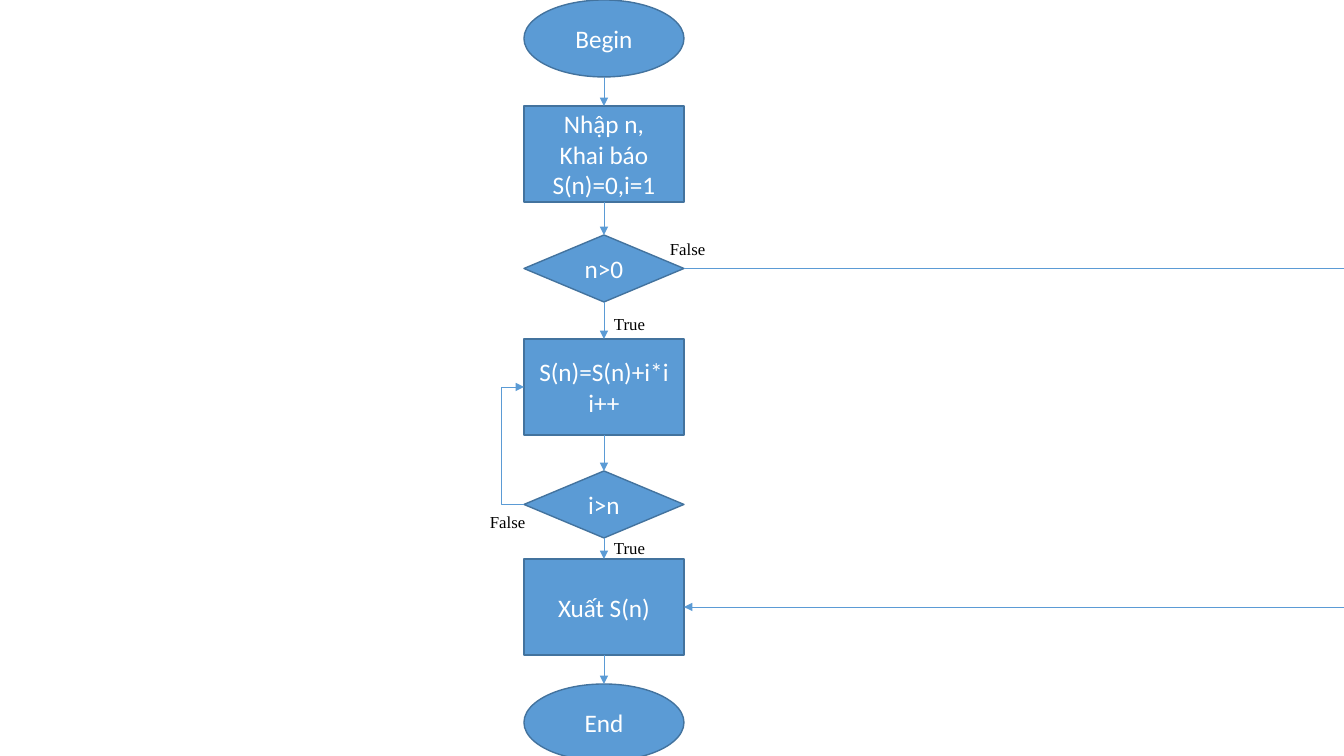
"""Build a flowchart slide that sums the squares from 1 to n."""
from dataclasses import dataclass

from lxml import etree
from pptx import Presentation
from pptx.dml.color import RGBColor
from pptx.enum.shapes import MSO_CONNECTOR, MSO_SHAPE
from pptx.enum.text import MSO_ANCHOR, MSO_AUTO_SIZE, PP_ALIGN
from pptx.oxml.ns import qn
from pptx.util import Pt

PX = 914400 / 100.8


@dataclass(frozen=True)
class Theme:
    fill: RGBColor = RGBColor(0x5B, 0x9B, 0xD5)
    outline: RGBColor = RGBColor(0x43, 0x73, 0x9E)
    step_text: RGBColor = RGBColor(0xFF, 0xFF, 0xFF)
    label_text: RGBColor = RGBColor(0, 0, 0)
    step_font: str = "Calibri"
    label_font: str = "Times New Roman"
    step_size: Pt = Pt(18)
    label_size: Pt = Pt(12)
    outline_width: Pt = Pt(1)
    flow_width: Pt = Pt(0.5)


def emu(*pixels):
    return [round(p * PX) for p in pixels]


def style_flow(flow, arrow=True):
    flow.line.color.rgb = theme.fill
    flow.line.width = theme.flow_width
    properties = flow._element.spPr
    if arrow:
        etree.SubElement(properties.get_or_add_ln(), qn("a:tailEnd"), type="triangle")
    if properties.find(qn("a:effectLst")) is None:
        etree.SubElement(properties, qn("a:effectLst"))


theme = Theme()
prs = Presentation()
prs.slide_width, prs.slide_height = emu(1344, 756)
slide = prs.slides.add_slide(prs.slide_layouts[6])
shapes = slide.shapes

LEFT, WIDTH, SLIDE_RIGHT = 524, 160, 1344
CENTER, RIGHT = LEFT + WIDTH // 2, LEFT + WIDTH
OVAL, BOX, DECISION = MSO_SHAPE.OVAL, MSO_SHAPE.RECTANGLE, MSO_SHAPE.FLOWCHART_DECISION
HEIGHTS = {OVAL: 77, BOX: 96, DECISION: 67}

steps = [
    (OVAL, 0, "Begin"),
    (BOX, 106, "Nhập n,\nKhai báo\nS(n)=0,i=1"),
    (DECISION, 235, "n>0"),
    (BOX, 339, "S(n)=S(n)+i*i\ni++"),
    (DECISION, 471, "i>n"),
    (BOX, 559, "Xuất S(n)"),
    (OVAL, 684, "End"),
]
nodes, middles = [], []
for kind, top, text in steps:
    node = shapes.add_shape(kind, *emu(LEFT, top, WIDTH, HEIGHTS[kind]))
    node.shadow.inherit = False
    node.fill.solid()
    node.fill.fore_color.rgb = theme.fill
    node.line.color.rgb = theme.outline
    node.line.width = theme.outline_width
    frame = node.text_frame
    frame.word_wrap = True
    frame.vertical_anchor = MSO_ANCHOR.MIDDLE
    frame.text = text
    for paragraph in frame.paragraphs:
        paragraph.alignment = PP_ALIGN.CENTER
        paragraph.font.name = theme.step_font
        paragraph.font.size = theme.step_size
        paragraph.font.color.rgb = theme.step_text
    nodes.append(node)
    middles.append(top + HEIGHTS[kind] // 2)

for (kind, top, _), (_, next_top, _), node, next_node in zip(steps, steps[1:], nodes, nodes[1:]):
    ends = emu(CENTER, top + HEIGHTS[kind], CENTER, next_top)
    flow = shapes.add_connector(MSO_CONNECTOR.STRAIGHT, *ends)
    if kind != OVAL:
        flow.begin_connect(node, 2)
    flow.end_connect(next_node, 0)
    style_flow(flow)

_, _, positive_y, sum_y, finished_y, output_y, _ = middles
skip_out = shapes.add_connector(
    MSO_CONNECTOR.STRAIGHT, *emu(RIGHT, positive_y, SLIDE_RIGHT, positive_y))
style_flow(skip_out, arrow=False)
skip_back = shapes.add_connector(
    MSO_CONNECTOR.STRAIGHT, *emu(SLIDE_RIGHT, output_y, RIGHT, output_y))
style_flow(skip_back)

LOOP_X = 501
builder = shapes.build_freeform(LEFT, finished_y, scale=PX)
builder.add_line_segments([(LOOP_X, finished_y), (LOOP_X, sum_y), (LEFT, sum_y)], close=False)
loop = builder.convert_to_shape()
loop.shadow.inherit = False
loop.fill.background()
style_flow(loop)

labels = [
    ("True", 604, 309, 52),
    ("False", 660, 234, 56),
    ("True", 604, 533, 52),
    ("False", 480, 507, 56),
]
for text, left, top, width in labels:
    label = shapes.add_textbox(*emu(left, top, width, 30))
    label.text_frame.word_wrap = False
    label.text_frame.auto_size = MSO_AUTO_SIZE.SHAPE_TO_FIT_TEXT
    label.text_frame.text = text
    font = label.text_frame.paragraphs[0].font
    font.name = theme.label_font
    font.size = theme.label_size
    font.color.rgb = theme.label_text

prs.save("out.pptx")
